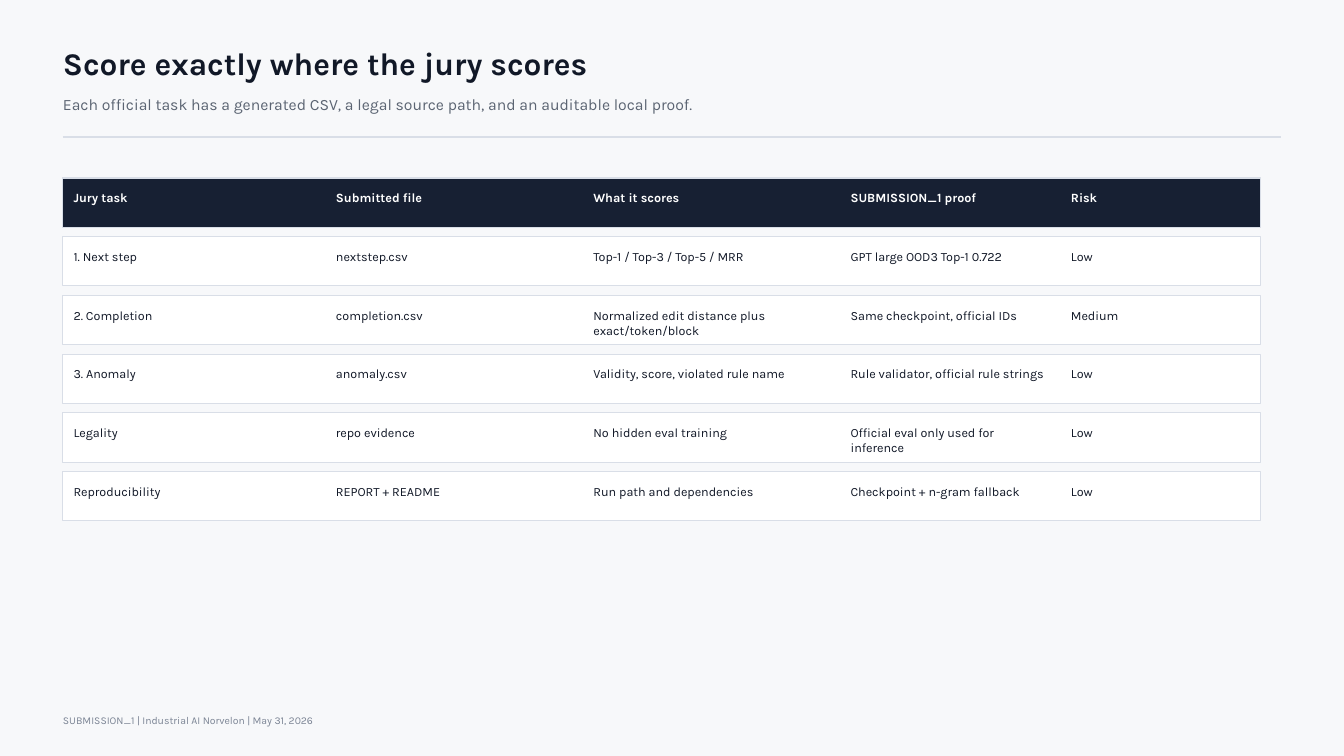
from pptx import Presentation
from pptx.dml.color import RGBColor
from pptx.enum.shapes import MSO_CONNECTOR, MSO_SHAPE
from pptx.enum.text import MSO_AUTO_SIZE
from pptx.oxml.ns import qn
from pptx.util import Cm, Pt
from lxml.etree import SubElement

FONT = "Karla"
PAGE = RGBColor(0xF7, 0xF8, 0xFA)
INK = RGBColor(0x11, 0x18, 0x27)
SLATE = RGBColor(0x5B, 0x64, 0x72)
MUTED = RGBColor(0x7B, 0x84, 0x94)
RULE = RGBColor(0xD9, 0xDE, 0xE7)
NAVY = RGBColor(0x17, 0x20, 0x33)
WHITE = RGBColor(0xFF, 0xFF, 0xFF)

# Lengths in centimetres
MARGIN = 2.38
ROW_LEFT, ROW_TOP = 2.36, 6.73
ROW_WIDTH, ROW_HEIGHT, ROW_PITCH = 45.29, 1.86, 2.22
CELL_INSET, CELL_HEIGHT = 0.46, 1.14
COLUMNS = [(2.78, 9.13), (12.7, 8.73), (22.43, 8.73), (32.15, 7.54), (40.48, 6.75)]

HEADINGS = ["Jury task", "Submitted file", "What it scores", "SUBMISSION_1 proof", "Risk"]
TASKS = [
    ["1. Next step", "nextstep.csv", "Top-1 / Top-3 / Top-5 / MRR",
     "GPT large OOD3 Top-1 0.722", "Low"],
    ["2. Completion", "completion.csv", "Normalized edit distance plus exact/token/block",
     "Same checkpoint, official IDs", "Medium"],
    ["3. Anomaly", "anomaly.csv", "Validity, score, violated rule name",
     "Rule validator, official rule strings", "Low"],
    ["Legality", "repo evidence", "No hidden eval training",
     "Official eval only used for inference", "Low"],
    ["Reproducibility", "REPORT + README", "Run path and dependencies",
     "Checkpoint + n-gram fallback", "Low"],
]


def add_text(slide, text, left, top, width, height, size, leading, color, bold=False):
    box = slide.shapes.add_textbox(Cm(left), Cm(top), Cm(width), Cm(height))
    frame = box.text_frame
    frame.word_wrap = True
    frame.auto_size = MSO_AUTO_SIZE.SHAPE_TO_FIT_TEXT
    frame.margin_left = frame.margin_top = frame.margin_right = frame.margin_bottom = 0
    paragraph = frame.paragraphs[0]
    paragraph.line_spacing = Pt(leading)
    run = paragraph.add_run()
    run.text = text
    run.font.name = FONT
    run.font.size = Pt(size)
    run.font.bold = bold
    run.font.color.rgb = color


def add_divider(slide, left, right, y):
    divider = slide.shapes.add_connector(
        MSO_CONNECTOR.STRAIGHT, Cm(left), Cm(y), Cm(right), Cm(y))
    divider.line.color.rgb = RULE
    divider.line.width = Pt(1.7)
    SubElement(divider._element.spPr, qn("a:effectLst"))


def add_row(slide, index, cells, fill, color, bold=False):
    top = ROW_TOP + index * ROW_PITCH
    band = slide.shapes.add_shape(
        MSO_SHAPE.RECTANGLE, Cm(ROW_LEFT), Cm(top), Cm(ROW_WIDTH), Cm(ROW_HEIGHT))
    band.shadow.inherit = False
    band.fill.solid()
    band.fill.fore_color.rgb = fill
    band.line.color.rgb = RULE
    band.line.width = Pt(1.13)
    for text, (left, width) in zip(cells, COLUMNS):
        add_text(slide, text, left, top + CELL_INSET, width, CELL_HEIGHT,
                 13.5, 16.2, color, bold)


def main():
    deck = Presentation()
    deck.slide_width, deck.slide_height = Cm(50.8), Cm(28.58)
    slide = deck.slides.add_slide(deck.slide_layouts[6])
    slide.background.fill.solid()
    slide.background.fill.fore_color.rgb = PAGE

    # Title block
    add_text(slide, "Score exactly where the jury scores",
             MARGIN, 1.67, 35.72, 1.98, 33.8, 40.5, INK, bold=True)
    add_text(slide, "Each official task has a generated CSV, a legal source path, "
                    "and an auditable local proof.",
             MARGIN, 3.57, 35.72, 1.3, 16.9, 20.2, SLATE)
    add_divider(slide, MARGIN, 48.42, 5.18)

    # Scoring rows, separated by gaps
    add_row(slide, 0, HEADINGS, NAVY, WHITE, bold=True)
    for index, task in enumerate(TASKS, start=1):
        add_row(slide, index, task, WHITE, INK)

    # Footer
    add_text(slide, "SUBMISSION_1 | Industrial AI Norvelon | May 31, 2026",
             MARGIN, 26.99, 31.75, 0.79, 11.2, 13.5, MUTED)

    deck.save("out.pptx")


if __name__ == "__main__":
    main()
